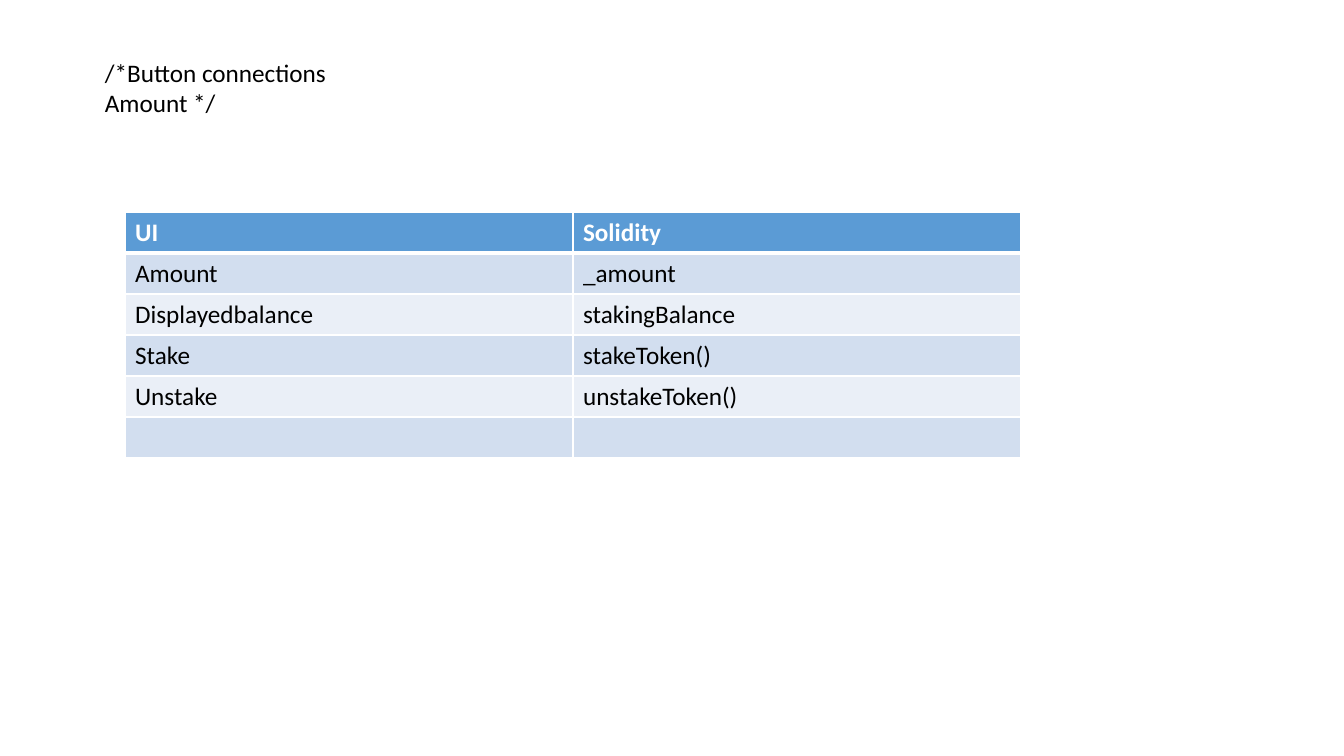
import pptx
import pptx.util
import pptx.dml.color
import pptx.oxml
import pptx.oxml.ns

RGBColor = pptx.dml.color.RGBColor
BLACK = RGBColor(0x00, 0x00, 0x00)
WHITE = RGBColor(0xFF, 0xFF, 0xFF)
HEADER_BLUE = RGBColor(0x5B, 0x9B, 0xD5)
BANDS = (RGBColor(0xD2, 0xDE, 0xEF), RGBColor(0xEA, 0xEF, 0xF7))

comment_lines = ["/*Button connections", "Amount */"]
mapping = [
    ("UI", "Solidity"),
    ("Amount", "_amount"),
    ("Displayedbalance", "stakingBalance"),
    ("Stake", "stakeToken()"),
    ("Unstake", "unstakeToken()"),
    ("", ""),
]
comment_box = (95, 52, 479, 72)
mapping_left, mapping_top = 125, 212
column_width, row_height = 448, 41
body_format = {"name": "Calibri", "size": pptx.util.Pt(18), "bold": False}
header_format = {**body_format, "bold": True}


def px(length):
    return pptx.util.Emu(round(length * 914400 / 100.8))


def write(paragraph, text, formats, color):
    font = paragraph.add_run().font if text else paragraph.font
    if text:
        paragraph.runs[0].text = text
    for attribute, value in formats.items():
        setattr(font, attribute, value)
    font.color.rgb = color


def add_borders(cell, widths):
    properties = cell._tc.get_or_add_tcPr()
    for side, points in widths.items():
        properties.append(pptx.oxml.parse_xml(
            f'<a:ln{side} {pptx.oxml.ns.nsdecls("a")} w="{pptx.util.Pt(points)}">'
            f'<a:solidFill><a:srgbClr val="{WHITE}"/></a:solidFill></a:ln{side}>'))


presentation = pptx.Presentation()
presentation.slide_width, presentation.slide_height = px(1344), px(756)
slide = presentation.slides.add_slide(presentation.slide_layouts[6])

comment = slide.shapes.add_textbox(*map(px, comment_box)).text_frame
comment.word_wrap = True
for index, line in enumerate(comment_lines):
    paragraph = comment.add_paragraph() if index else comment.paragraphs[0]
    write(paragraph, line, body_format, BLACK)

column_count = len(mapping[0])
mapping_table = slide.shapes.add_table(
    len(mapping), column_count, px(mapping_left), px(mapping_top),
    px(column_width * column_count), px(row_height * len(mapping))).table
for row_index, names in enumerate(mapping):
    header = row_index == 0
    for column_index, name in enumerate(names):
        cell = mapping_table.cell(row_index, column_index)
        add_borders(cell, {"L": 1, "R": 1, "T": 3 if row_index == 1 else 1,
                           "B": 3 if header else 1})
        cell.fill.solid()
        cell.fill.fore_color.rgb = HEADER_BLUE if header else BANDS[(row_index - 1) % 2]
        write(cell.text_frame.paragraphs[0], name,
              header_format if header else body_format, WHITE if header else BLACK)

presentation.save("out.pptx")
